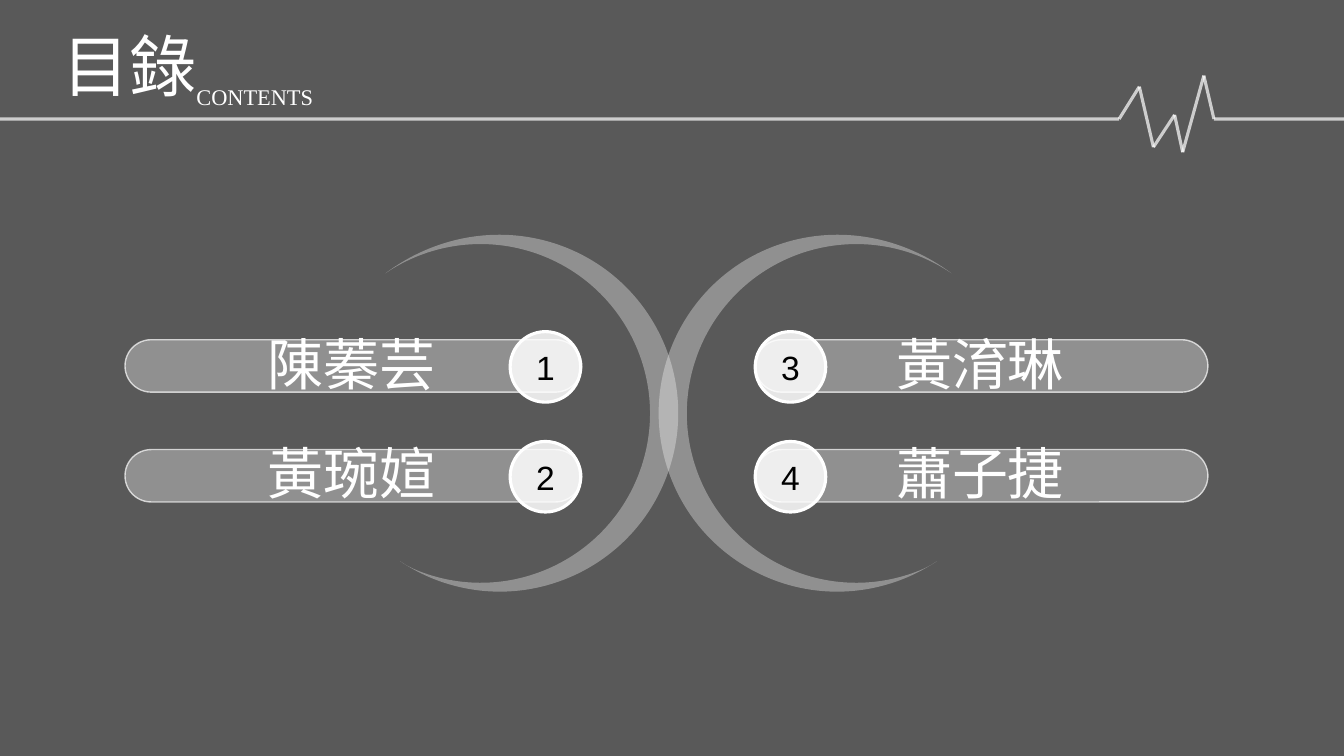
import math
from lxml import etree
from pptx import Presentation
from pptx.dml.color import RGBColor
from pptx.enum.shapes import MSO_CONNECTOR, MSO_SHAPE
from pptx.enum.text import MSO_ANCHOR, MSO_AUTO_SIZE, PP_ALIGN
from pptx.oxml.ns import qn
from pptx.util import Inches, Pt

RECT, PILL, DISC = MSO_SHAPE.RECTANGLE, MSO_SHAPE.ROUNDED_RECTANGLE, MSO_SHAPE.OVAL
STRAIGHT = MSO_CONNECTOR.STRAIGHT
MIDDLE, TOP = MSO_ANCHOR.MIDDLE, MSO_ANCHOR.TOP
GROW, FIXED = MSO_AUTO_SIZE.SHAPE_TO_FIT_TEXT, MSO_AUTO_SIZE.NONE
CENTER, LEFT = PP_ALIGN.CENTER, PP_ALIGN.LEFT

# Colours are (RGB, opacity in percent); text styles are (font, size, colour)
THEME = {
    "backdrop": ("000000", 65),
    "pulse": ("FFFFFF", 70),
    "glass": ("FCFCFC", 34),
    "disc": ("FFFFFF", 85),
    "rim": ("FFFFFF", 100),
    "title": ("Noto Sans CJK SC", 48, "FFFFFF"),
    "subtitle": ("Times New Roman", 16, "FFFFFF"),
    "name": ("Noto Sans CJK SC", 40, "FFFFFF"),
    "number": ("Arial", 24, "000000"),
}
W, H = 13.33, 7.5


def tint(fill, style):
    rgb, opacity = THEME[style]
    fill.solid()
    fill.fore_color.rgb = RGBColor.from_string(rgb)
    if opacity < 100:
        color = fill._xPr.find(qn("a:solidFill"))[0]
        etree.SubElement(color, qn("a:alpha"), val=str(opacity * 1000))


def write(sp, text, style, align, anchor, size_mode):
    font, size, rgb = THEME[style]
    tf = sp.text_frame
    tf.word_wrap = True
    tf.auto_size = size_mode
    tf.vertical_anchor = anchor
    p = tf.paragraphs[0]
    p.alignment = align
    r = p.add_run()
    r.text = text
    r.font.size = Pt(size)
    r.font.color.rgb = RGBColor.from_string(rgb)
    r.font.name = font
    etree.SubElement(r.font._element, qn("a:ea"), typeface=font)
    return p


prs = Presentation()
prs.slide_width, prs.slide_height = Inches(W), Inches(H)
s = prs.slides.add_slide(prs.slide_layouts[6])

# Backdrop
sp = s.shapes.add_shape(RECT, 0, 0, prs.slide_width, prs.slide_height)
sp.shadow.inherit = False
tint(sp.fill, "backdrop")
sp.line.fill.background()

# Heartbeat rule under the title
pulse = [(0, 1.18), (11.1, 1.18), (11.3, 0.86), (11.44, 1.46), (11.65, 1.14),
         (11.73, 1.51), (11.94, 0.75), (12.04, 1.18), (W, 1.18)]
group = s.shapes.add_group_shape()
for start, end in zip(pulse, pulse[1:]):
    line = group.shapes.add_connector(STRAIGHT, *map(Inches, start + end))
    line.line.width = Pt(2.25)
    tint(line.line.fill, "pulse")
    etree.SubElement(line._element.spPr, qn("a:effectLst"))

# Title
group = s.shapes.add_group_shape()
sp = group.shapes.add_textbox(*map(Inches, (0.52, 0.19, 3.88, 0.91)))
write(sp, "目錄", "title", LEFT, TOP, GROW)
sp = group.shapes.add_textbox(*map(Inches, (1.85, 0.74, 4.35, 0.41)))
write(sp, "CONTENTS", "subtitle", LEFT, TOP, GROW).line_spacing = 1.14

# Crescents: one Bézier curve per stretch of arc; the right one is mirrored
TILT, MIRROR = 17.8, 13.26
arcs = [  # centre x, centre y, radius, angles of the nodes
    (4.95, 4.14, 1.77, [-90, 0, 90, 106.2]),
    (4.77, 4.2, 1.68, [101.7, 90, 0, -90, -142]),
    (4.95, 4.14, 1.77, [-146.7, -90]),
]
curves = []
for cx, cy, radius, angles in arcs:
    for first, last in zip(angles, angles[1:]):
        a, b = math.radians(first), math.radians(last)
        k = 4 / 3 * math.tan((b - a) / 4)
        curves.append([
            (cx + radius * (math.cos(t) - pull * math.sin(t)),
             cy + radius * (math.sin(t) + pull * math.cos(t)))
            for t, pull in ((a, k), (b, -k), (b, 0))])
for side in (1, -1):
    outline = [[(Inches(x if side == 1 else MIRROR - x), Inches(y)) for x, y in curve]
               for curve in curves]
    builder = s.shapes.build_freeform(*outline[-1][-1])
    builder.add_line_segments([curve[-1] for curve in outline], close=True)
    sp = builder.convert_to_shape()
    segments = list(sp._element.iter(qn("a:lnTo")))
    for segment, curve in zip(segments, outline):
        bezier = etree.Element(qn("a:cubicBezTo"))
        for x, y in curve:
            etree.SubElement(bezier, qn("a:pt"), x=str(x - sp.left), y=str(y - sp.top))
        segment.getparent().replace(segment, bezier)
    sp.shadow.inherit = False
    sp.rotation = side * TILT % 360
    tint(sp.fill, "glass")
    sp.line.fill.background()

# Numbered names: two columns of two rows
ROW_TOP, ROW_PITCH, NAME_TOP, NAME_PITCH = 3.29, 1.09, 3.22, 1.08
BAR_H, DISC_D, NAME_W, NAME_H = 0.52, 0.7, 4.56, 0.77
columns = [  # bar left, bar width, disc left, name left, names
    (1.24, 4.53, 5.06, 1.21, ["陳蓁芸", "黃琬媗"]),
    (7.49, 4.49, 7.49, 7.44, ["黃淯琳", "蕭子捷"]),
]
number = 0
for bar_x, bar_w, disc_x, name_x, names in columns:
    for row, name in enumerate(names):
        number += 1
        y = ROW_TOP + row * ROW_PITCH
        name_y = NAME_TOP + row * NAME_PITCH
        group = s.shapes.add_group_shape()
        bar = group.shapes.add_shape(PILL, *map(Inches, (bar_x, y + 0.08, bar_w, BAR_H)))
        bar.adjustments[0] = 0.5
        disc = group.shapes.add_shape(DISC, *map(Inches, (disc_x, y, DISC_D, DISC_D)))
        for sp, fill, edge, weight in ((bar, "glass", "pulse", 1), (disc, "disc", "rim", 2.25)):
            sp.shadow.inherit = False
            tint(sp.fill, fill)
            tint(sp.line.fill, edge)
            sp.line.width = Pt(weight)
        write(disc, str(number), "number", CENTER, MIDDLE, FIXED)
        label = group.shapes.add_textbox(*map(Inches, (name_x, name_y, NAME_W, NAME_H)))
        write(label, name, "name", CENTER, MIDDLE, GROW)

prs.save("out.pptx")
